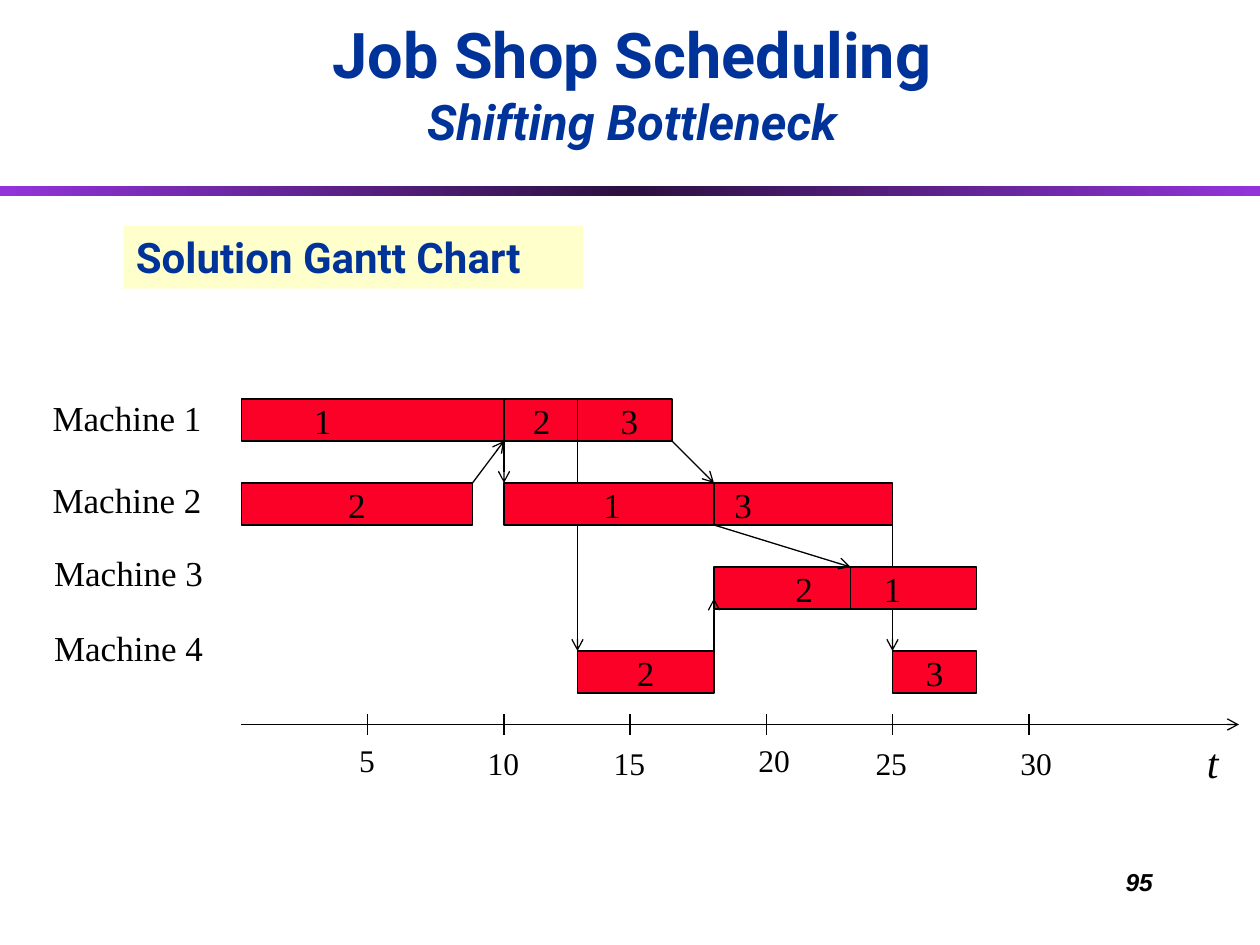
"""Build a job shop scheduling slide with a Gantt chart of the solution."""
import copy

import pptx
import pptx.dml.color
import pptx.enum.shapes
import pptx.enum.text
import pptx.oxml.ns
import pptx.oxml.xmlchemy
import pptx.util
from lxml import etree

Cm, Pt = pptx.util.Cm, pptx.util.Pt
qn = pptx.oxml.ns.qn
RECT = pptx.enum.shapes.MSO_SHAPE.RECTANGLE
STRAIGHT = pptx.enum.shapes.MSO_CONNECTOR.STRAIGHT
ALIGN, ANCHOR = pptx.enum.text.PP_ALIGN, pptx.enum.text.MSO_ANCHOR

UNIT = 2.54 / 12
ROW_TOP, ROW_STEP, BAR_H = 38, 8, 4
AXIS_X, AXIS_END, AXIS_Y = 23, 118, 69
SERIF, NAVY, RED, BLACK = "Times New Roman", "003399", "FC0128", "000000"

MACHINES = [("Machine 1", 0.81, 7.87), ("Machine 2", 0.81, 9.53),
            ("Machine 3", 0.84, 11.0), ("Machine 4", 0.84, 12.5)]
BARS = [
    (0, 23, 64, [("1", 1.64), ("2", 6.05), ("3", 7.82)]),
    (1, 23, 45, [("2", None)]),
    (1, 48, 85, [("1", 2.18), ("3", 4.82)]),
    (2, 68, 93, [("2", 1.82), ("1", 3.6)]),
    (3, 55, 68, [("2", None)]),
    (3, 85, 93, [("3", None)]),
]
SPLITS = [(0, 48), (0, 55), (1, 68), (2, 81)]
LINKS = [(55, 42, 55, 46), (85, 50, 85, 54)]
ARROWS = [(45, 46, 48, 42), (55, 50, 55, 62), (48, 42, 48, 46), (68, 50, 81, 54),
          (64, 42, 68, 46), (68, 62, 68, 57), (85, 58, 85, 62)]
TICKS = [("5", 35, 6.99, 14.81), ("10", 48, 9.58, 14.88), ("15", 60, 12.12, 14.88),
         ("20", 73, 15.04, 14.81), ("25", 85, 17.4, 14.88), ("30", 98, 20.32, 14.88)]


def color(value):
    return pptx.dml.color.RGBColor.from_string(value)


def write(tf, text, size=20, font=SERIF, rgb=BLACK, bold=False, italic=False,
          align=ALIGN.LEFT, anchor=ANCHOR.TOP, wrap=False):
    tf.word_wrap, tf.vertical_anchor = wrap, anchor
    p = tf.paragraphs[0]
    p.alignment = align
    r = p.add_run()
    r.text = text
    r.font.size, r.font.name = Pt(size), font
    r.font.bold, r.font.italic = bold, italic
    r.font.color.rgb = color(rgb)


def add_text(s, x, y, w, h, text, **fmt):
    tf = s.shapes.add_textbox(Cm(x), Cm(y), Cm(w), Cm(h)).text_frame
    write(tf, text, **fmt)
    return tf


def add_rect(s, x, y, w, h, fill, line=None):
    sp = s.shapes.add_shape(RECT, Cm(x), Cm(y), Cm(w), Cm(h))
    sp.shadow.inherit = False
    sp.fill.solid()
    sp.fill.fore_color.rgb = color(fill)
    if line:
        sp.line.color.rgb, sp.line.width = color(line), Pt(0.75)
    else:
        sp.line.fill.background()
    return sp


def add_line(s, x1, y1, x2, y2, arrow=False):
    cx = s.shapes.add_connector(STRAIGHT, *(Cm(v * UNIT) for v in (x1, y1, x2, y2)))
    cx.line.color.rgb, cx.line.width = color(BLACK), Pt(0.75)
    if arrow:
        etree.SubElement(cx.line._get_or_add_ln(), qn("a:tailEnd"), type="arrow")
    etree.SubElement(cx._element.spPr, qn("a:effectLst"))


def add_bar(s, row, start, end, jobs):
    sp = add_rect(s, start * UNIT, (ROW_TOP + row * ROW_STEP) * UNIT,
                  (end - start) * UNIT, BAR_H * UNIT, RED, BLACK)
    tf = sp.text_frame
    tf.margin_left = tf.margin_right = 0
    stops = [pos for _, pos in jobs if pos]
    if not stops:
        write(tf, jobs[0][0], align=ALIGN.CENTER, anchor=ANCHOR.MIDDLE, wrap=True)
        return
    tabs = etree.SubElement(tf.paragraphs[0]._p.get_or_add_pPr(), qn("a:tabLst"))
    for pos in stops:
        etree.SubElement(tabs, qn("a:tab"), pos=str(int(Cm(pos))), algn="ctr")
    write(tf, "".join("\t" + job for job, _ in jobs), anchor=ANCHOR.MIDDLE, wrap=True)


def add_header(s):
    band = add_rect(s, 0, 3.76, 25.4, 0.2, "9234DB")
    band.fill.gradient()
    band.fill.gradient_angle = 0
    first, middle = band.fill.gradient_stops
    first.color.rgb, first.position = color("9234DB"), 0
    middle.color.rgb, middle.position = color("2B1040"), 0.5
    stops = band._element.spPr.find(qn("a:gradFill")).find(qn("a:gsLst"))
    last = copy.deepcopy(stops[0])
    last.set("pos", "100000")
    stops.append(last)
    head = dict(font="Roboto", rgb=NAVY, bold=True)
    title = dict(head, align=ALIGN.CENTER, anchor=ANCHOR.BOTTOM, wrap=True)
    tf = add_text(s, 1.07, 0.43, 23.34, 2.72, "Job Shop Scheduling", size=36, **title)
    tf.paragraphs[0].add_line_break()
    write(tf, "Shifting Bottleneck", size=28, italic=True, **title)
    box = add_rect(s, 2.49, 4.55, 9.27, 1.27, "FFFFCC")
    write(box.text_frame, "Solution Gantt Chart", size=24, **dict(head, wrap=True))


def main():
    prs = pptx.Presentation()
    prs.slide_width, prs.slide_height = Cm(25.4), Cm(19.05)
    s = prs.slides.add_slide(prs.slide_layouts[6])
    add_header(s)
    for bar in BARS:
        add_bar(s, *bar)
    for name, x, y in MACHINES:
        add_text(s, x, y, 3.51, 1.09, name)
    add_line(s, AXIS_X, AXIS_Y, AXIS_END, AXIS_Y, arrow=True)
    for label, tick, x, y in TICKS:
        add_line(s, tick, AXIS_Y - 1, tick, AXIS_Y + 1)
        add_text(s, x, y, 0.84 if len(label) == 1 else 1.14, 1.02, label, size=18)
    for row, x in SPLITS:
        top = ROW_TOP + row * ROW_STEP
        add_line(s, x, top, x, top + BAR_H)
    for link in LINKS:
        add_line(s, *link)
    for arrow in ARROWS:
        add_line(s, *arrow, arrow=True)
    add_text(s, 24.08, 14.73, 0.74, 1.27, "t", size=24, italic=True)
    add_text(s, 18.21, 17.35, 5.28, 1.27, "95", size=14, font="Arial", bold=True,
             italic=True, align=ALIGN.RIGHT, wrap=True)
    prs.save("out.pptx")


if __name__ == "__main__":
    main()
